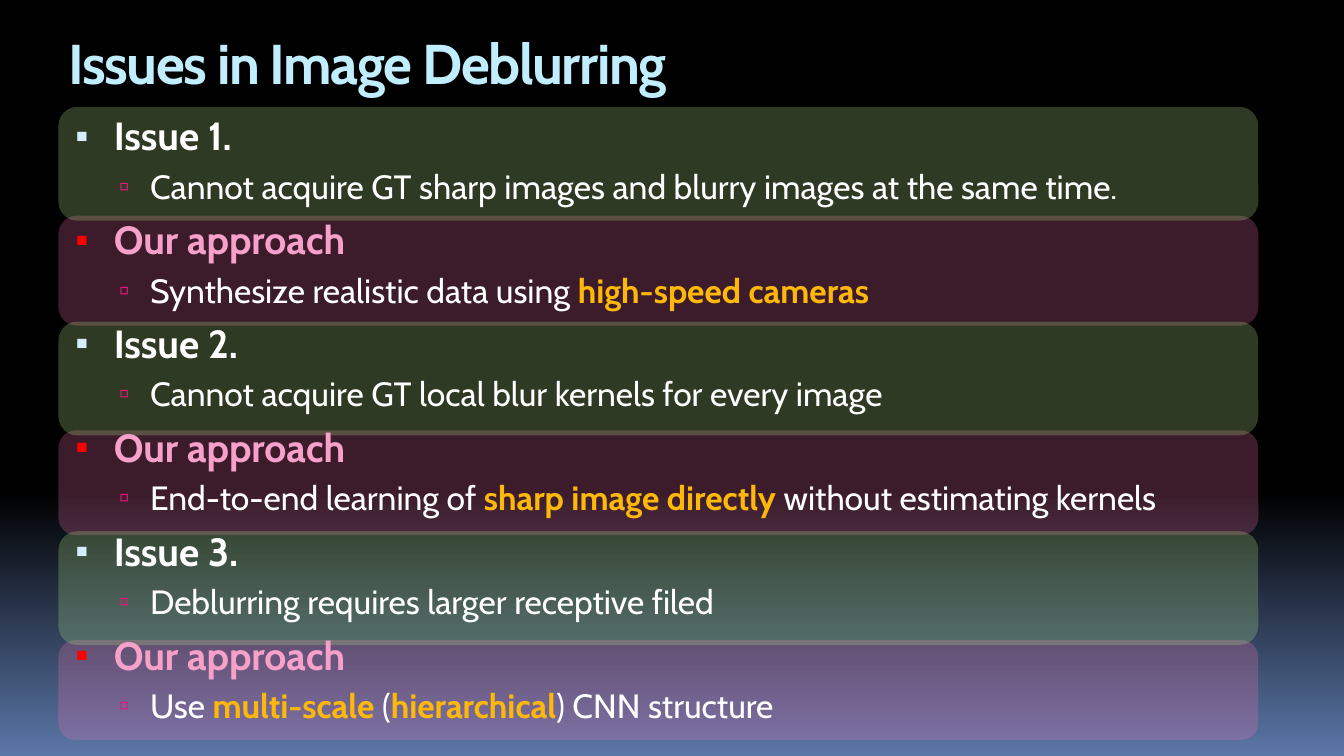
from copy import deepcopy
from lxml import etree
from pptx import Presentation, util as u
from pptx.dml.color import RGBColor
from pptx.enum import shapes
from pptx.oxml.ns import qn

WIDE, HIGH = 13.33, 7.5
FONT = "Cabin"
COLORS = {
    "black": "000000", "blue": "5B77A8", "title": "C1EEFF", "white": "FFFFFF",
    "pink": "F7A1CA", "gold": "FEB80A", "green band": "B2E389",
    "pink band": "F273AF", "pale": "D6ECFF", "red": "FF0000", "rose": "EA157A",
}
# Text between asterisks is highlighted.
TOPICS = [
    ("Issue 1.", "Cannot acquire GT sharp images and blurry images at the same time."),
    ("Our approach", "Synthesize realistic data using *high-speed cameras*"),
    ("Issue 2.", "Cannot acquire GT local blur kernels for every image"),
    ("Our approach", "End-to-end learning of *sharp image directly *without estimating kernels"),
    ("Issue 3.", "Deblurring requires larger receptive filed"),
    ("Our approach", "Use *multi-scale* (*hierarchical*) CNN structure"),
]
BANDS = [(1.06, 1.13), (2.14, 1.09), (3.19, 1.13),
         (4.27, 1.04), (5.27, 1.13), (6.35, 0.99)]  # top, height


def rgb(name):
    return RGBColor.from_string(COLORS[name])


def add(parent, tag, **attrs):
    node = etree.SubElement(parent, qn(tag))
    for key, val in attrs.items():
        node.set(key, str(val))
    return node


def backdrop(slide):
    fill = slide.background.fill
    fill.gradient()
    fill.gradient_angle = 270
    stops = slide.element.find(".//" + qn("a:gsLst"))
    stops.append(deepcopy(stops[-1]))
    for stop, place, name in zip(fill.gradient_stops, (0, 0.65, 1),
                                 ("black", "black", "blue")):
        stop.position = place
        stop.color.rgb = rgb(name)


def band(slide, box, name, alpha):
    shape = slide.shapes.add_shape(shapes.MSO_SHAPE.ROUNDED_RECTANGLE,
                                   *map(u.Inches, box))
    shape.shadow.inherit = False
    shape.line.fill.background()
    shape.fill.solid()
    shape.fill.fore_color.rgb = rgb(name)
    tone = shape._element.spPr.find(".//" + qn("a:srgbClr"))
    add(tone, "a:alpha", val=alpha * 1000)


def bands(slide, left, width):
    """Place the approach bands behind the issue bands."""
    for first, name, alpha in ((1, "pink band", 25), (0, "green band", 26)):
        for top, height in BANDS[first::2]:
            band(slide, (left, top, width, height), name, alpha)


def frame(slide, box):
    text = slide.shapes.add_textbox(*map(u.Inches, box)).text_frame
    text.word_wrap = True
    return text


def style(run, size, name, bold):
    font = run.font
    font.name, font.size, font.bold = FONT, u.Pt(size), bold
    font.color.rgb = rgb(name)


def title(slide, box):
    para = frame(slide, box).paragraphs[0]
    para.text = "Issues in Image Deblurring"
    run = para.runs[0]
    style(run, 40, "title", True)
    run._r.get_or_add_rPr().set("spc", "-100")


def bullet(para, mark, name, size, left, hang):
    props = para._p.get_or_add_pPr()
    props.set("marL", str(u.Inches(left)))
    props.set("indent", str(u.Inches(-hang)))
    add(add(props, "a:buClr"), "a:srgbClr", val=COLORS[name])
    add(props, "a:buSzPct", val=size * 1000)
    add(props, "a:buFont", typeface="Arial")
    add(props, "a:buChar", char=mark)


def topic(text, row, head, detail):
    ours = row % 2
    para = text.add_paragraph() if row else text.paragraphs[0]
    para.text = head
    if row:
        para.space_before = u.Pt(7)
    bullet(para, "▪", "red" if ours else "pale", 95, 0.45, 0.38)
    style(para.runs[0], 28, "pink" if ours else "white", True)

    para = text.add_paragraph()
    para.level = 1
    gap = add(para._p.get_or_add_pPr(), "a:spcBef")
    add(gap, "a:spcPct", val=20000)
    bullet(para, "▫", "rose", 90, 0.81, 0.31)
    for part, words in enumerate(detail.split("*")):
        if words:
            run = para.add_run()
            run.text = words
            style(run, 24, "gold" if part % 2 else "white", bool(part % 2))


def body(slide, box):
    text = frame(slide, box)
    for row, (head, detail) in enumerate(TOPICS):
        topic(text, row, head, detail)


def main():
    deck = Presentation()
    deck.slide_width, deck.slide_height = u.Inches(WIDE), u.Inches(HIGH)
    slide = deck.slides.add_slide(deck.slide_layouts[6])
    left = 0.58
    backdrop(slide)
    bands(slide, left, 11.9)
    title(slide, (left, 0.23, 11.33, 1))
    body(slide, (left, BANDS[0][0], 12.25, 5.96))
    deck.save("out.pptx")


if __name__ == "__main__":
    main()
